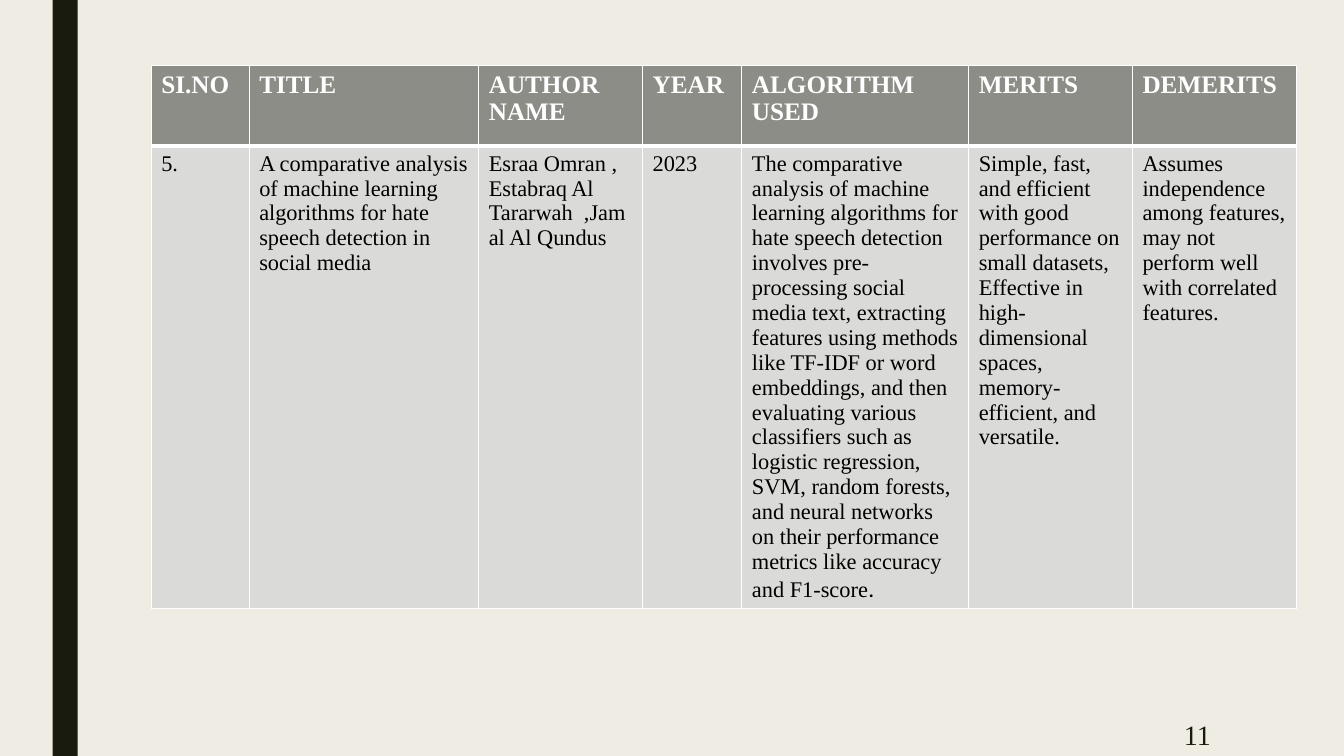
from lxml import etree
from pptx import Presentation
from pptx.dml.color import RGBColor
from pptx.enum.shapes import MSO_SHAPE
from pptx.enum.text import MSO_ANCHOR, PP_ALIGN
from pptx.oxml.ns import qn
from pptx.util import Pt

RECTANGLE = MSO_SHAPE.RECTANGLE
MIDDLE = MSO_ANCHOR.MIDDLE
RIGHT = PP_ALIGN.RIGHT

CREAM = RGBColor(0xEF, 0xED, 0xE3)
DARK_OLIVE = RGBColor(0x19, 0x1B, 0x0E)
HEADER_GREY = RGBColor(0x8C, 0x8D, 0x86)
BODY_GREY = RGBColor(0xDA, 0xDB, 0xD9)
WHITE = RGBColor(0xFF, 0xFF, 0xFF)
BLACK = RGBColor(0, 0, 0)

SERIF = "Times New Roman"
SANS = "Roboto"

# heading, column width in points, entry as a list of runs
COLUMNS = [
    ("SI.NO", 70, ["5."]),
    ("TITLE", 164, ["A comparative analysis of machine learning algorithms "
                    "for hate speech detection in social media"]),
    ("AUTHOR NAME", 117, ["Esraa Omran , Estabraq Al Tararwah  ,Jamal Al Qundus"]),
    ("YEAR", 71, ["2023"]),
    ("ALGORITHM USED", 162, [
        "The comparative analysis of machine learning algorithms for hate speech "
        "detection involves pre-processing social media text, extracting features "
        "using methods like TF-IDF or word embeddings, and then evaluating various "
        "classifiers such as logistic regression, SVM, random forests, and neural "
        "networks on their performance metrics like accuracy and F1-score",
        "."]),
    ("MERITS", 117, ["Simple, fast, and efficient with good performance on small "
                     "datasets, Effective in high-dimensional spaces, "
                     "memory-efficient, and versatile."]),
    ("DEMERITS", 117, ["Assumes independence among features, may not perform well "
                       "with correlated features."]),
]
PAGE_NUMBER = "11"

SLIDE_WIDTH, SLIDE_HEIGHT = 960, 540
TABLE_LEFT, TABLE_TOP = 108, 46.8
HEADER_HEIGHT, BODY_HEIGHT = 57.6, 329
THIN, THICK = 1, 3


def style_run(run, size, color, font=SERIF, bold=False):
    run.font.name = font
    run.font.size = Pt(size)
    run.font.bold = bold
    run.font.color.rgb = color


def set_borders(cell, top, bottom):
    """Give the cell white edges; top and bottom are widths in points."""
    properties = cell._tc.get_or_add_tcPr()
    edges = [("a:lnL", THIN), ("a:lnR", THIN), ("a:lnT", top), ("a:lnB", bottom)]
    for position, (tag, width) in enumerate(edges):
        edge = etree.Element(qn(tag), w=str(Pt(width)))
        fill = etree.SubElement(edge, qn("a:solidFill"))
        etree.SubElement(fill, qn("a:srgbClr"), val=str(WHITE))
        properties.insert(position, edge)


def fill_cell(cell, texts, size, color, background, bold, top, bottom):
    paragraph = cell.text_frame.paragraphs[0]
    for text in texts:
        run = paragraph.add_run()
        run.text = text
        style_run(run, size, color, bold=bold)
    cell.fill.solid()
    cell.fill.fore_color.rgb = background
    set_borders(cell, top, bottom)


def add_side_bar(slide):
    bar = slide.shapes.add_shape(RECTANGLE, Pt(37.5), 0, Pt(18), Pt(SLIDE_HEIGHT))
    bar.shadow.inherit = False
    bar.fill.solid()
    bar.fill.fore_color.rgb = DARK_OLIVE
    bar.line.fill.background()


def add_survey_table(slide):
    table_width = sum(width for _, width, _ in COLUMNS)
    survey = slide.shapes.add_table(
        2, len(COLUMNS), Pt(TABLE_LEFT), Pt(TABLE_TOP),
        Pt(table_width), Pt(HEADER_HEIGHT + BODY_HEIGHT)).table
    survey.rows[0].height = Pt(HEADER_HEIGHT)
    survey.rows[1].height = Pt(BODY_HEIGHT)
    for index, (heading, width, entry) in enumerate(COLUMNS):
        survey.columns[index].width = Pt(width)
        fill_cell(survey.cell(0, index), [heading], 18, WHITE, HEADER_GREY,
                  True, THIN, THICK)
        body = survey.cell(1, index)
        fill_cell(body, entry, 16, BLACK, BODY_GREY, False, THICK, THIN)
        for closing_mark in body.text_frame.paragraphs[0].runs[1:]:
            style_run(closing_mark, 18, BLACK, SANS)


def add_page_number(slide):
    box = slide.shapes.add_textbox(Pt(746), Pt(508.3), Pt(126), Pt(31.7))
    frame = box.text_frame
    frame.word_wrap = True
    frame.vertical_anchor = MIDDLE
    frame.text = PAGE_NUMBER
    paragraph = frame.paragraphs[0]
    paragraph.alignment = RIGHT
    style_run(paragraph.runs[0], 20, DARK_OLIVE)


def main():
    deck = Presentation()
    deck.slide_width, deck.slide_height = Pt(SLIDE_WIDTH), Pt(SLIDE_HEIGHT)
    slide = deck.slides.add_slide(deck.slide_layouts.get_by_name("Blank"))
    slide.background.fill.solid()
    slide.background.fill.fore_color.rgb = CREAM
    add_side_bar(slide)
    add_survey_table(slide)
    add_page_number(slide)
    deck.save("out.pptx")


if __name__ == "__main__":
    main()
